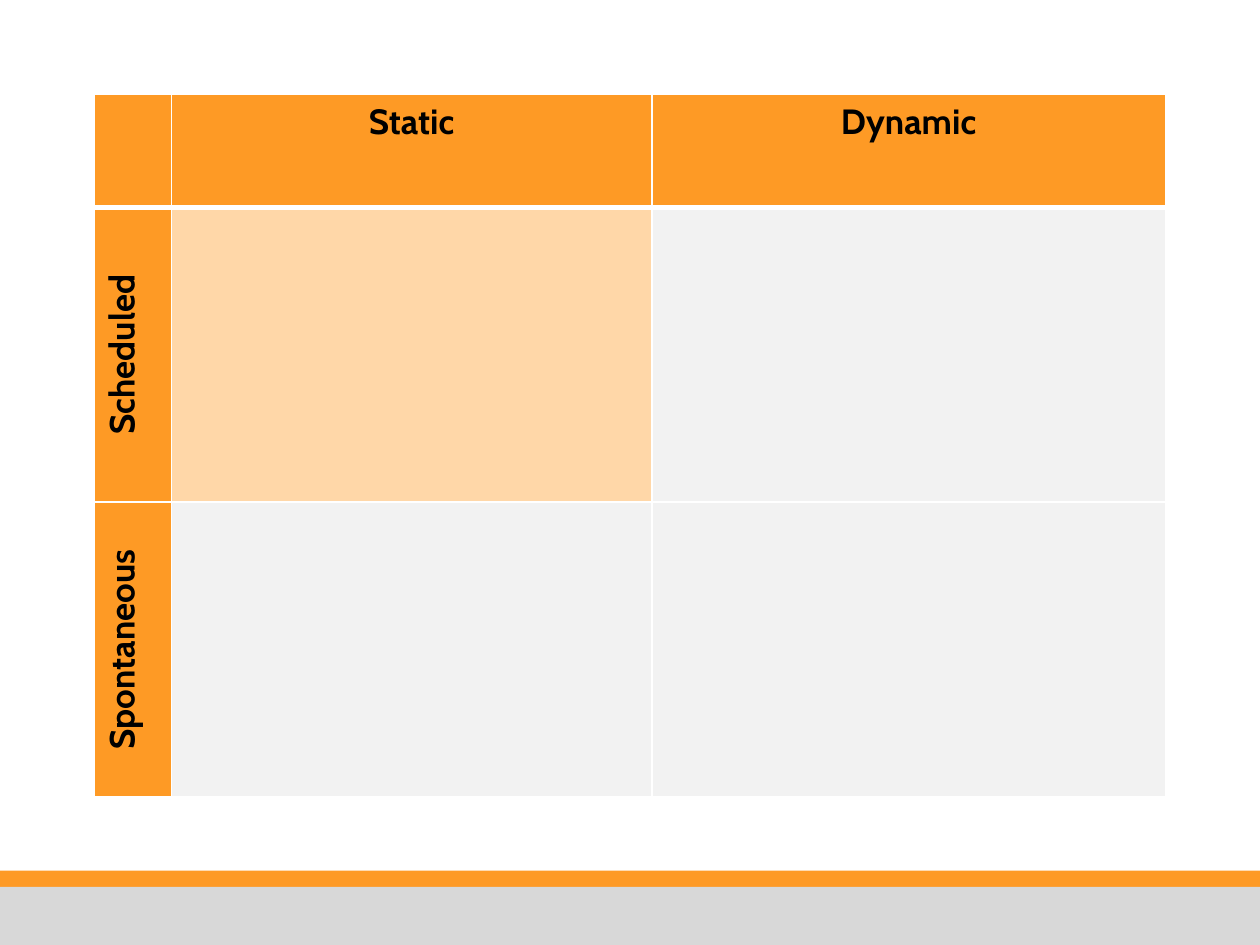
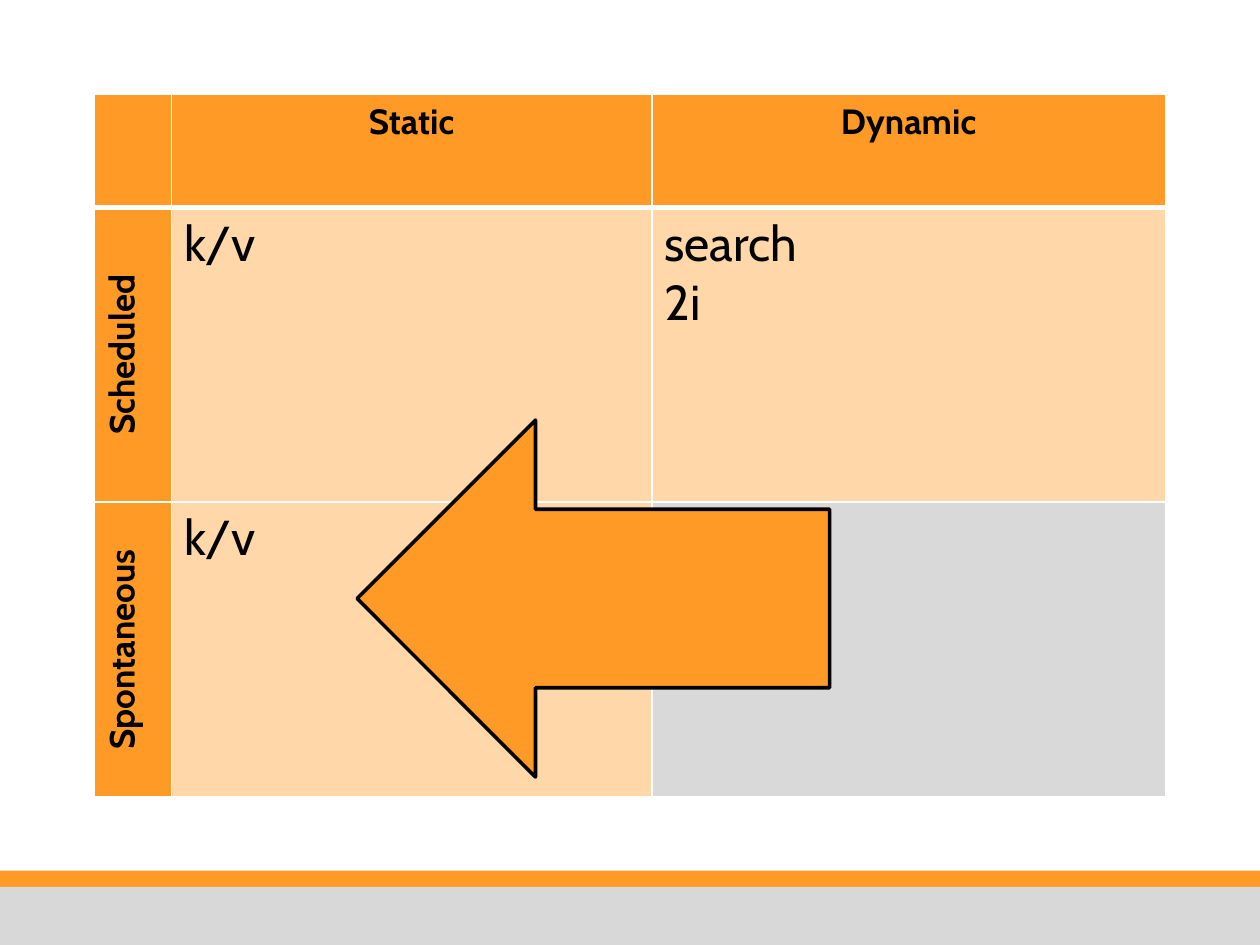
from lxml import etree
from pptx import Presentation
from pptx.dml import color
from pptx.enum import shapes, text
from pptx.oxml import ns
from pptx.util import Pt

SLIDE_WIDTH, SLIDE_HEIGHT = 720, 540
ORANGE, PEACH, WHITE, BLACK = "FE9A25", "FFD7A8", "FFFFFF", "000000"
FOOTER_GREY, PALE_GREY, MID_GREY = "D8D8D8", "F2F2F2", "D9D9D9"
FONT = "Cabin"

GRID_BOX = (54, 54, 612, 401.2)
ROW_LABEL_WIDTH, STATIC_WIDTH = 44, 274.5
HEADER_HEIGHT = 64.6
COLUMN_LABELS = ["Static", "Dynamic"]
ROW_LABELS = ["Scheduled", "Spontaneous"]


def rgb(value):
    return color.RGBColor.from_string(value)


def add_block(slide, kind, box, fill, line=None, line_width=2):
    shape = slide.shapes.add_shape(kind, *map(Pt, box))
    shape.shadow.inherit = False
    shape.fill.solid()
    shape.fill.fore_color.rgb = rgb(fill)
    if line:
        shape.line.color.rgb = rgb(line)
        shape.line.width = Pt(line_width)
    else:
        shape.line.fill.background()
    return shape


def write_text(frame, lines, size=28, bold=False, align=text.PP_ALIGN.LEFT):
    for index, line in enumerate(lines):
        paragraph = frame.paragraphs[0] if index == 0 else frame.add_paragraph()
        paragraph.alignment = align
        run = paragraph.add_run()
        run.text = line
        run.font.name = FONT
        run.font.size = Pt(size)
        run.font.bold = bold
        run.font.color.rgb = rgb(BLACK)


def set_borders(cell, **widths):
    """Draw white borders; widths are keyed by side: L, R, T, B."""
    properties = cell._tc.get_or_add_tcPr()
    for index, side in enumerate("LRTB"):
        border = etree.Element(ns.qn(f"a:ln{side}"), w=str(Pt(widths.get(side, 1))))
        fill = etree.SubElement(border, ns.qn("a:solidFill"))
        etree.SubElement(fill, ns.qn("a:srgbClr"), val=WHITE)
        properties.insert(index, border)


def style_cell(cell, fill, lines=(), vertical=False, borders=None, **text_format):
    cell.fill.solid()
    cell.fill.fore_color.rgb = rgb(fill)
    set_borders(cell, **(borders or {}))
    if vertical:
        cell._tc.get_or_add_tcPr().set("vert", "vert270")
    write_text(cell.text_frame, lines, **text_format)


def add_grid(slide, box, quadrants):
    """Add the two-by-two table; each quadrant is a fill and its lines of text."""
    left, top, width, height = box
    table = slide.shapes.add_table(3, 3, *map(Pt, box)).table
    table.first_row = table.horz_banding = False
    column_widths = [ROW_LABEL_WIDTH, STATIC_WIDTH, width - ROW_LABEL_WIDTH - STATIC_WIDTH]
    for column, column_width in zip(table.columns, column_widths):
        column.width = Pt(column_width)
    body_height = (height - HEADER_HEIGHT) / len(ROW_LABELS)
    for row, row_height in zip(table.rows, [HEADER_HEIGHT, body_height, body_height]):
        row.height = Pt(row_height)

    label_format = dict(size=20, bold=True, align=text.PP_ALIGN.CENTER)
    for column, label in enumerate([None, *COLUMN_LABELS]):
        style_cell(table.cell(0, column), ORANGE, [label] if label else [],
                   borders={"B": 3}, **label_format)
    for row, (label, cells) in enumerate(zip(ROW_LABELS, quadrants), 1):
        top_border = {"T": 3} if row == 1 else {}
        style_cell(table.cell(row, 0), ORANGE, [label], vertical=True,
                   borders=top_border, **label_format)
        for column, (fill, lines) in enumerate(cells, 1):
            style_cell(table.cell(row, column), fill, lines, borders=top_border)


def add_footer(slide, box):
    left, top, width, height = box
    stripe_height, overlap = 12.2, 3
    base_top = top + stripe_height - overlap
    rectangle = shapes.MSO_SHAPE.RECTANGLE
    add_block(slide, rectangle, (left, top, width, stripe_height), ORANGE)
    add_block(slide, rectangle, (left, base_top, width, top + height - base_top), FOOTER_GREY)


def add_grid_slide(presentation, quadrants):
    slide = presentation.slides.add_slide(presentation.slide_layouts[6])
    add_footer(slide, (0, 497.6, SLIDE_WIDTH, SLIDE_HEIGHT - 497.6))
    add_grid(slide, GRID_BOX, quadrants)
    return slide


def main():
    presentation = Presentation()
    presentation.slide_width = Pt(SLIDE_WIDTH)
    presentation.slide_height = Pt(SLIDE_HEIGHT)

    add_grid_slide(presentation, [
        [(PEACH, []), (PALE_GREY, [])],
        [(PALE_GREY, []), (PALE_GREY, [])],
    ])
    slide = add_grid_slide(presentation, [
        [(PEACH, ["k/v"]), (PEACH, ["search", "2i"])],
        [(PEACH, ["k/v"]), (MID_GREY, [])],
    ])
    add_block(slide, shapes.MSO_SHAPE.LEFT_ARROW, (204, 240, 270, 204), ORANGE, line=BLACK)

    presentation.save("out.pptx")


if __name__ == "__main__":
    main()
